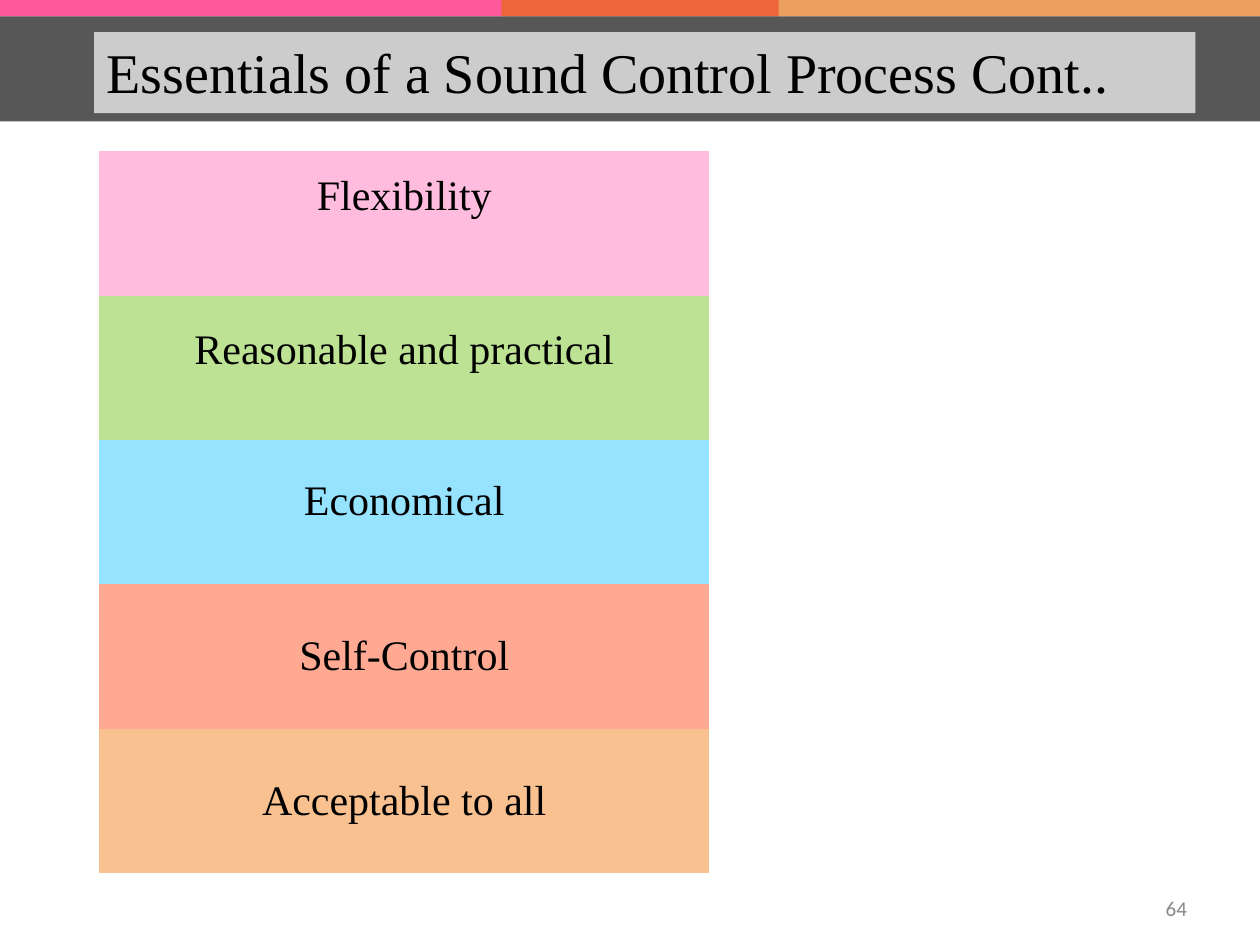
from pptx import Presentation
from pptx.dml.color import RGBColor
from pptx.enum.shapes import MSO_SHAPE
from pptx.enum.text import MSO_ANCHOR, PP_ALIGN
from pptx.oxml.ns import qn
from pptx.util import Cm, Pt
from lxml.etree import SubElement

COLORS = {
    "pink": "FF0066", "orange": "E36C09", "charcoal": "404040",
    "white": "FFFFFF", "black": "000000", "grey": "888888",
}
SERIF = "Times New Roman"
NO_STYLE_NO_GRID = "{2D5ABB26-0587-4C30-8999-92F81FD0307C}"

# label, fill, space above the label in cm
ESSENTIALS = [
    ("Flexibility", "FFBCDE", 0.43),
    ("Reasonable and practical", "BDE294", 0.64),
    ("Economical", "96E3FF", 0.76),
    ("Self-Control", "FFA892", 0.99),
    ("Acceptable to all", "F9C090", 0.99),
]


def fill_translucent(shape, color, opacity):
    """Fill a shape with a colour at the given opacity in percent."""
    shape.fill.solid()
    shape.fill.fore_color.rgb = RGBColor.from_string(color)
    srgb = shape.fill._xPr.find(qn("a:solidFill")).find(qn("a:srgbClr"))
    SubElement(srgb, qn("a:alpha"), val=str(opacity * 1000))


def write(frame, text, size, color, font=SERIF, align=PP_ALIGN.LEFT):
    paragraph = frame.paragraphs[0]
    paragraph.text = text
    paragraph.alignment = align
    paragraph.font.size = Pt(size)
    paragraph.font.name = font
    paragraph.font.color.rgb = RGBColor.from_string(color)


def add_label(slide, left, top, width, height, indent, text, size, color, font=SERIF):
    label = slide.shapes.add_textbox(Cm(left), Cm(top), Cm(width), Cm(height))
    frame = label.text_frame
    frame.word_wrap = True
    frame.margin_left, frame.margin_top = Cm(indent), Cm(0.1)
    frame.margin_right = frame.margin_bottom = 0
    write(frame, text, size, color, font)
    return label


def add_header(slide, left, top, width, height):
    """Two overlapping stripes, a dark band below them and the title on it."""
    stripe = 0.33
    bands = [
        (0, 0, 15.7, stripe, "pink", 65),
        (10.11, 0, width - 10.11, stripe, "orange", 65),
        (0, stripe, width, height - stripe, "charcoal", 88),
    ]
    for x, y, band_width, band_height, color, opacity in bands:
        band = slide.shapes.add_shape(
            MSO_SHAPE.RECTANGLE, Cm(left + x), Cm(top + y), Cm(band_width), Cm(band_height))
        band.shadow.inherit = False
        band.line.fill.background()
        fill_translucent(band, COLORS[color], opacity)

    title = add_label(slide, left + 1.9, top + 0.65, 22.2, 1.63, 0.25,
                      "Essentials of a Sound Control Process Cont..", 32, COLORS["black"])
    fill_translucent(title, COLORS["white"], 70)


def add_essentials(slide, left, top, width, height):
    frame = slide.shapes.add_table(
        len(ESSENTIALS), 1, Cm(left), Cm(top), Cm(width), Cm(height))
    table = frame.table
    table.first_row = table.horz_banding = False
    table._tbl.tblPr.find(qn("a:tableStyleId")).text = NO_STYLE_NO_GRID
    for row, (label, color, space_above) in zip(table.rows, ESSENTIALS):
        cell = row.cells[0]
        cell.fill.solid()
        cell.fill.fore_color.rgb = RGBColor.from_string(color)
        cell.margin_left = cell.margin_right = cell.margin_bottom = 0
        cell.margin_top = Cm(space_above)
        cell.vertical_anchor = MSO_ANCHOR.TOP
        write(cell.text_frame, label, 24, COLORS["black"], align=PP_ALIGN.CENTER)


def add_page_number(slide, left, top, width, height):
    add_label(slide, left, top, width, height, 0.23, "64", 12, COLORS["grey"], "Calibri")


def main():
    deck = Presentation()
    deck.slide_width, deck.slide_height = Cm(25.4), Cm(19.05)
    slide = deck.slides.add_slide(deck.slide_layouts[6])
    add_header(slide, 0, 0, 25.4, 2.45)
    add_essentials(slide, 2, 3.05, 12.3, 14.55)
    add_page_number(slide, 23.27, 17.96, 0.76, 0.66)
    deck.save("out.pptx")


if __name__ == "__main__":
    main()
